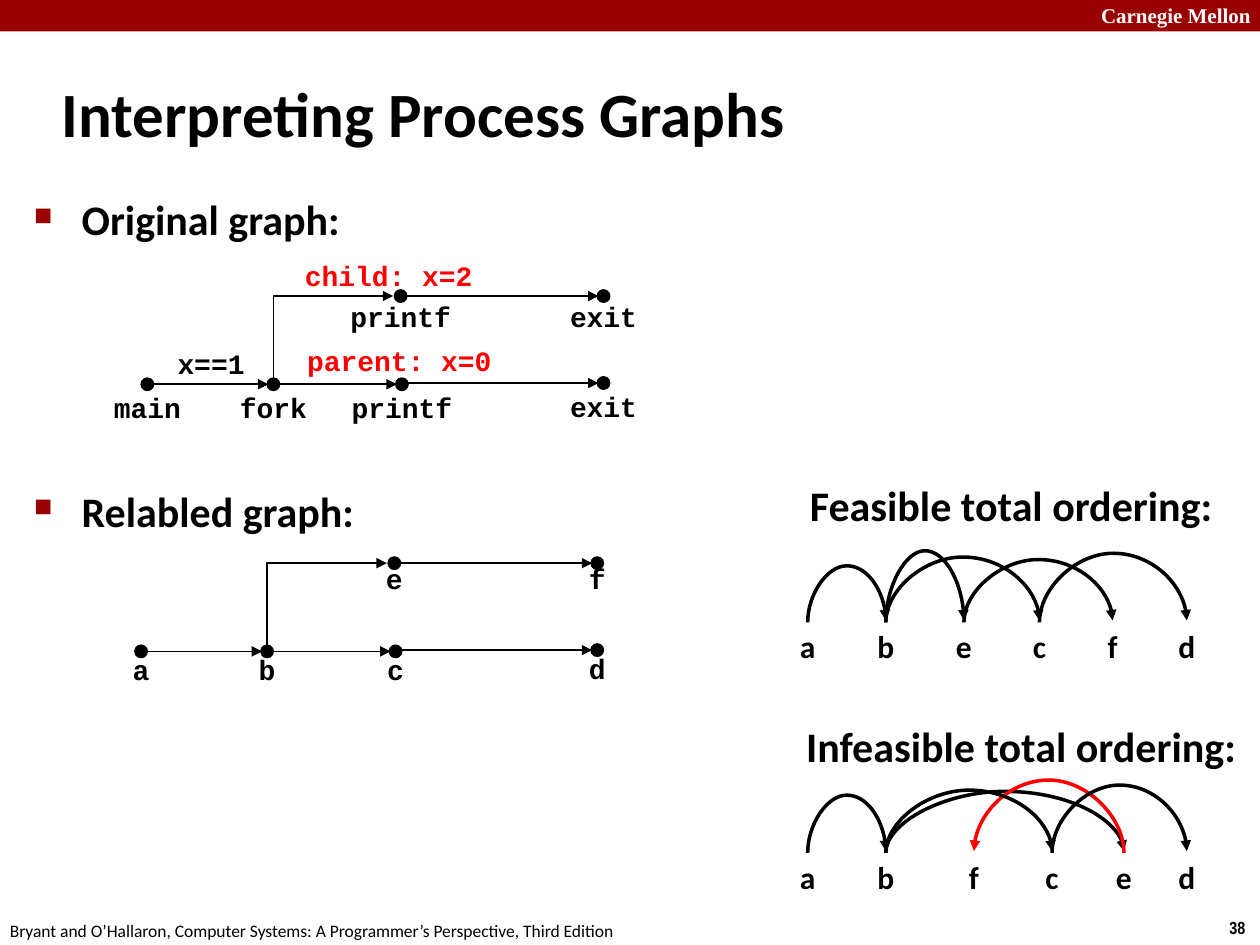
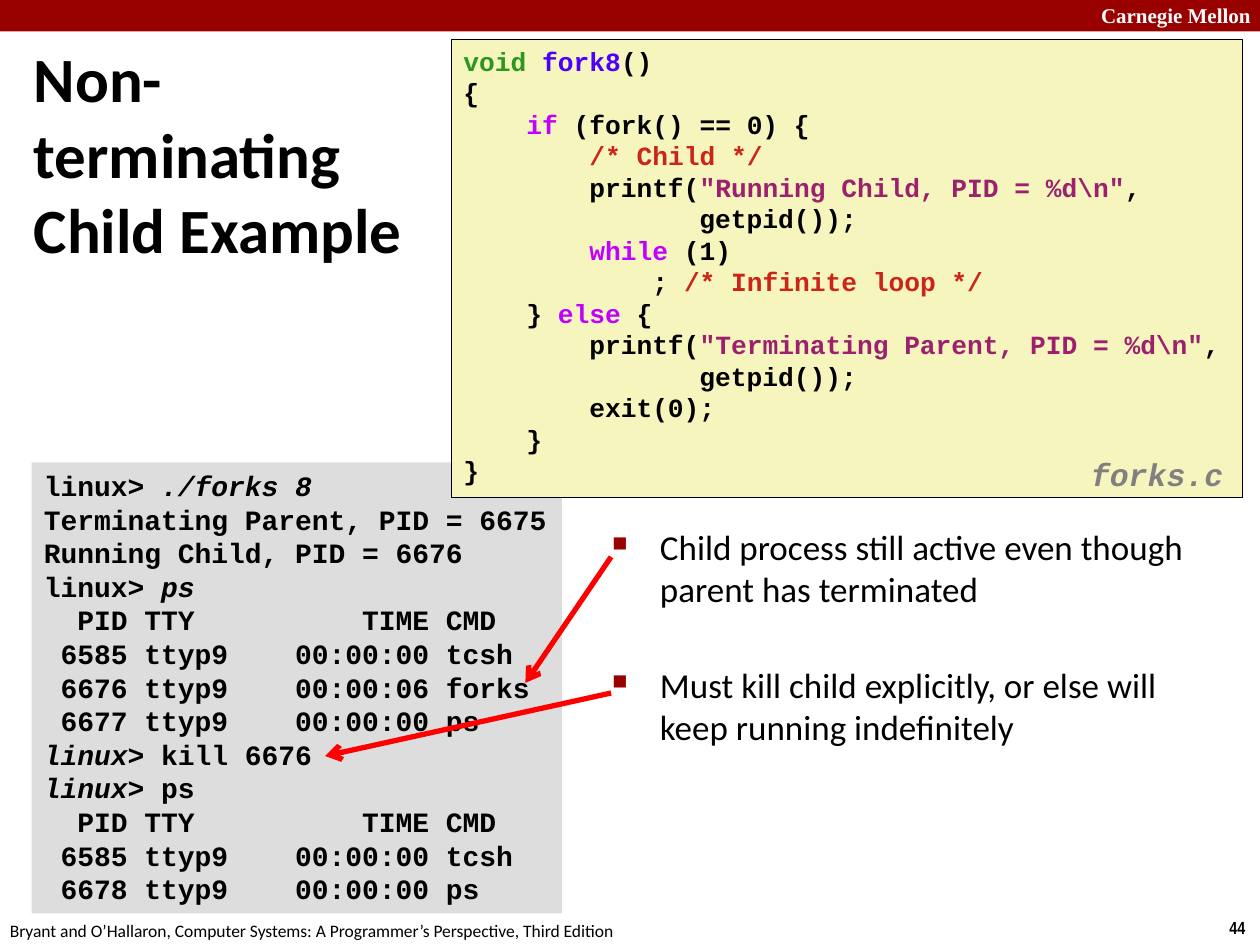
from dataclasses import dataclass
from typing import NamedTuple, Optional, Union

from lxml.etree import SubElement
from pptx import Presentation
from pptx.dml.color import RGBColor
from pptx.enum.shapes import MSO_CONNECTOR as LINE, MSO_SHAPE as SHAPE
from pptx.enum.text import MSO_ANCHOR as ANCHOR, PP_ALIGN as ALIGN
from pptx.oxml.ns import qn
from pptx.util import Inches, Pt

COLS, ROWS = 100, 75
CELL = Inches(0.1)

BLACK, WHITE, RED, MAROON = "000000", "FFFFFF", "FF0000", "990000"
SHELL_FILL, CODE_FILL, FILE_GREY = "DDDDDD", "F6F5BD", "808080"
TYPE, NAME, KEYWORD, COMMENT, STRING = "2D961E", "4A00FF", "C200FF", "CB2418", "9D206F"


class Box(NamedTuple):
    col: float
    row: float
    cols: float
    rows: float


class Span(NamedTuple):
    text: str
    color: Optional[str] = None
    italic: bool = False


@dataclass(frozen=True)
class Style:
    size: float
    font: str = "Calibri"
    color: str = BLACK
    bold: bool = True
    italic: bool = False
    align: ALIGN = ALIGN.LEFT
    anchor: ANCHOR = ANCHOR.TOP
    wrap: bool = False


Line = Union[str, tuple]

TITLE = Style(36, anchor=ANCHOR.MIDDLE, wrap=True)
HEADING = Style(24)
POINTS = Style(20, bold=False, wrap=True)
STOP = Style(18, align=ALIGN.CENTER)
LABEL = Style(16, "Courier New", align=ALIGN.CENTER)
RED_LABEL = Style(16, "Courier New", RED, align=ALIGN.CENTER)
SHELL = Style(16, "Courier New")
CODE = Style(15, "Courier New")
FILE_NAME = Style(18, "Courier New", FILE_GREY, italic=True)


@dataclass(frozen=True)
class Graph:
    left: float
    child_row: float
    parent_row: float
    parent_labels: tuple
    child_labels: tuple
    child_drop: float
    parent_drop: float


@dataclass(frozen=True)
class Arc:
    start: str
    end: str
    rise: float
    color: str = BLACK


@dataclass(frozen=True)
class Ordering:
    heading: str
    heading_box: Box
    base_row: float
    stops: dict
    arcs: tuple


def cells(n: float) -> int:
    return round(n * CELL)


def place(box: Box) -> list:
    return [cells(n) for n in box]


def rgb(color: str) -> RGBColor:
    return RGBColor.from_string(color)


def write(tf, lines: list, style: Style) -> None:
    tf.word_wrap = style.wrap
    tf.vertical_anchor = style.anchor
    for i, line in enumerate(lines):
        p = tf.paragraphs[0] if i == 0 else tf.add_paragraph()
        p.alignment = style.align
        spans = [Span(line)] if isinstance(line, str) else line
        if len(spans) == 1:
            p.text = spans[0].text
        else:
            for span in spans:
                p.add_run().text = span.text
        for r, span in zip(p.runs, spans * len(p.runs) if len(spans) == 1 else spans):
            r.font.name = style.font
            r.font.size = Pt(style.size)
            r.font.bold = style.bold
            r.font.italic = style.italic or span.italic
            r.font.color.rgb = rgb(span.color or style.color)


def add_text(s, box: Box, lines: list, style: Style):
    tf = s.shapes.add_textbox(*place(box)).text_frame
    write(tf, lines, style)
    return tf


def add_bullets(s, box: Box, lines: list, style: Style, gap: float) -> None:
    tf = add_text(s, box, lines, style)
    for i, p in enumerate(tf.paragraphs):
        pPr = p._p.get_or_add_pPr()
        pPr.set("marL", str(Inches(0.38)))
        pPr.set("indent", str(-Inches(0.38)))
        SubElement(SubElement(pPr, qn("a:buClr")), qn("a:srgbClr"), val=MAROON)
        SubElement(pPr, qn("a:buSzPct"), val="60000")
        SubElement(pPr, qn("a:buChar"), char="■")
        if i:
            p.space_before = Pt(gap)


def add_block(s, kind: SHAPE, box: Box, fill: str, line: Optional[str] = None, width: float = 0.75):
    sp = s.shapes.add_shape(kind, *place(box))
    sp.shadow.inherit = False
    sp.fill.solid()
    sp.fill.fore_color.rgb = rgb(fill)
    if line:
        sp.line.color.rgb = rgb(line)
        sp.line.width = Pt(width)
    else:
        sp.line.fill.background()
    return sp


def add_arrow(s, x0: float, y0: float, x1: float, y1: float, color: str = BLACK,
              width: float = 1, head: str = "triangle", kind: LINE = LINE.STRAIGHT):
    cx = s.shapes.add_connector(kind, *(cells(n) for n in (x0, y0, x1, y1)))
    cx.line.color.rgb = rgb(color)
    cx.line.width = Pt(width)
    spPr = cx._element.spPr
    SubElement(spPr.find(qn("a:ln")), qn("a:tailEnd"), type=head)
    SubElement(spPr, qn("a:effectLst"))
    return cx


def add_turned_arrow(s, x0: float, y0: float, x1: float, y1: float, preset: str, kind: LINE,
                     color: str = BLACK, width: float = 1, rise: float = 0) -> None:
    mid_x, mid_y = (x0 + x1) / 2, (y0 + y1) / 2
    half_w, half_h = (y0 - y1) / 2, abs(x1 - x0) / 2
    side = 1 if x1 > x0 else -1
    cx = add_arrow(s, mid_x + side * half_w, mid_y + half_h, mid_x - side * half_w, mid_y - half_h,
                   color, width, kind=kind)
    spPr = cx._element.spPr
    spPr.find(qn("a:xfrm")).set("rot", "5400000" if side > 0 else "16200000")
    geom = spPr.find(qn("a:prstGeom"))
    geom.set("prst", preset)
    if rise:
        share = round(rise / (y0 - y1) * 100000)
        SubElement(geom.find(qn("a:avLst")), qn("a:gd"), name="adj1", fmla=f"val {share}")


def add_label(s, col: float, row: float, text: str, style: Style = LABEL, cols: float = 10.4) -> None:
    add_text(s, Box(col - cols / 2, row, cols, 3.7), [text], style)


def add_graph(s, g: Graph) -> None:
    parents = [(g.left + dx, g.parent_row - dy) for dx, dy in ((0, 0), (10, 0), (20.2, 0), (36.2, 0.1))]
    children = [(g.left + dx, g.child_row) for dx in (20.1, 36.2)]
    for nodes, labels, drop in ((parents, g.parent_labels, g.parent_drop),
                                (children, g.child_labels, g.child_drop)):
        for (x, y), label in zip(nodes, labels):
            add_block(s, SHAPE.OVAL, Box(x - 0.5, y - 0.5, 1, 1), BLACK, BLACK)
            add_label(s, x, y + drop, label)
        for (x0, _), (x1, y1) in zip(nodes, nodes[1:]):
            add_arrow(s, x0 + 0.4, y1, x1 - 0.4, y1)
    fork_x, fork_y = parents[1]
    add_turned_arrow(s, fork_x, fork_y, children[0][0] - 0.6, g.child_row, "bentConnector2", LINE.ELBOW)


def add_ordering(s, o: Ordering) -> None:
    add_text(s, o.heading_box, [o.heading], HEADING)
    for letter, col in o.stops.items():
        add_text(s, Box(col - 1.7, o.base_row - 0.1, 3.4, 4), [letter], STOP)
    for arc in o.arcs:
        add_turned_arrow(s, o.stops[arc.start], o.base_row, o.stops[arc.end], o.base_row - 0.15,
                         "curvedConnector3", LINE.CURVE, arc.color, 2, arc.rise)


def new_slide(prs, number: int, title: str, title_box: Box):
    s = prs.slides.add_slide(prs.slide_layouts[6])
    add_block(s, SHAPE.RECTANGLE, Box(0, 0, COLS, 2.5), MAROON)
    add_text(s, Box(86.4, -0.3, 14.3, 3), ["Carnegie Mellon"], Style(12, "Times New Roman", WHITE))
    add_text(s, Box(96.6, 72.3, 3.4, 2.7), [str(number)], Style(10, "Arial Narrow"))
    add_text(s, Box(-0.2, 72.5, 50.8, 2.7),
             ["Bryant and O’Hallaron, Computer Systems: A Programmer’s Perspective, Third Edition"],
             Style(10, bold=False))
    add_text(s, title_box, [title], TITLE)
    return s


GRAPHS = (
    Graph(11.7, 23.5, 30.5, ("main", "fork", "printf", "exit"), ("printf", "exit"), -0.2, 0),
    Graph(11.2, 44.7, 51.7, ("a", "b", "c", "d"), ("e", "f"), -0.6, -0.4),
)

ORDERINGS = (
    Ordering("Feasible total ordering:", Box(63.3, 37.6, 34.4, 5), 49.4,
             {"a": 64.1, "b": 70.3, "e": 76.5, "c": 82.5, "f": 88.3, "d": 94.2},
             (Arc("a", "b", 4.5), Arc("b", "e", 5.7), Arc("e", "f", 5),
              Arc("b", "c", 5.2), Arc("c", "d", 5.5))),
    Ordering("Infeasible total ordering:", Box(63, 56.7, 36.7, 5), 67.7,
             {"a": 64.1, "b": 70.3, "f": 77.3, "c": 83.5, "e": 89.2, "d": 94.2},
             (Arc("a", "b", 4.6), Arc("b", "e", 4.9), Arc("e", "f", 5.8, RED),
              Arc("b", "c", 5), Arc("c", "d", 5.4))),
)

PS_HEADER = "  PID TTY          TIME CMD"
PS_TCSH = " 6585 ttyp9    00:00:00 tcsh"
SESSION = [
    (Span("linux> "), Span("./forks 8", italic=True)),
    "Terminating Parent, PID = 6675",
    "Running Child, PID = 6676",
    (Span("linux> "), Span("ps", italic=True)),
    PS_HEADER,
    PS_TCSH,
    " 6676 ttyp9    00:00:06 forks",
    " 6677 ttyp9    00:00:00 ps",
    (Span("linux>", italic=True), Span(" kill 6676")),
    (Span("linux> ", italic=True), Span("ps")),
    PS_HEADER,
    PS_TCSH,
    " 6678 ttyp9    00:00:00 ps",
]

FORK8 = [
    (Span("void ", TYPE), Span("fork8", NAME), Span("()")),
    "{",
    (Span("    "), Span("if", KEYWORD), Span(" (fork() == 0) {")),
    (Span("        "), Span("/* Child */", COMMENT)),
    (Span("        printf("), Span('"Running Child, PID = %d\\n"', STRING), Span(",")),
    "               getpid());",
    (Span("        "), Span("while", KEYWORD), Span(" (1)")),
    (Span("            ; "), Span("/* Infinite loop */", COMMENT)),
    (Span("    } "), Span("else", KEYWORD), Span(" {")),
    (Span("        printf("), Span('"Terminating Parent, PID = %d\\n"', STRING), Span(",")),
    "               getpid());",
    "        exit(0);",
    "    }",
    "}",
]


def build_process_graphs(prs) -> None:
    s = new_slide(prs, 38, "Interpreting Process Graphs", Box(3.9, 4.8, 83, 8.3))
    add_bullets(s, Box(1.7, 14.9, 51.4, 42.6), ["Original graph:", "Relabled graph:"],
                Style(24, wrap=True), 138)
    for graph in GRAPHS:
        add_graph(s, graph)
    add_label(s, 16.75, 27, "x==1")
    add_label(s, 30.85, 20, "child: x=2", RED_LABEL, 20.1)
    add_label(s, 31.7, 26.8, "parent: x=0", RED_LABEL, 20.1)
    for ordering in ORDERINGS:
        add_ordering(s, ordering)


def build_child_example(prs) -> None:
    s = new_slide(prs, 44, "Non-\vterminating\vChild Example", Box(1.7, 3.3, 40, 17.7))
    shell = add_block(s, SHAPE.RECTANGLE, Box(2.5, 36.7, 42.1, 35.8), SHELL_FILL)
    write(shell.text_frame, SESSION, SHELL)
    add_bullets(s, Box(47.6, 41.2, 47.4, 29.7),
                ["Child process still active even though parent has terminated",
                 "Must kill child explicitly, or else will keep running indefinitely"], POINTS, 31)
    code = add_block(s, SHAPE.RECTANGLE, Box(35.8, 3.1, 62.8, 36.4), CODE_FILL, BLACK, 0.25)
    write(code.text_frame, FORK8, CODE)
    add_text(s, Box(85.6, 35.6, 13.2, 3.9), ["forks.c"], FILE_NAME)
    for y0, x1, y1 in ((44.2, 41.7, 54.2), (55, 25.8, 60)):
        add_arrow(s, 48.5, y0, x1, y1, RED, 3, "arrow")


def main() -> None:
    prs = Presentation()
    prs.slide_width, prs.slide_height = cells(COLS), cells(ROWS)
    build_process_graphs(prs)
    build_child_example(prs)
    prs.save("out.pptx")


if __name__ == "__main__":
    main()
